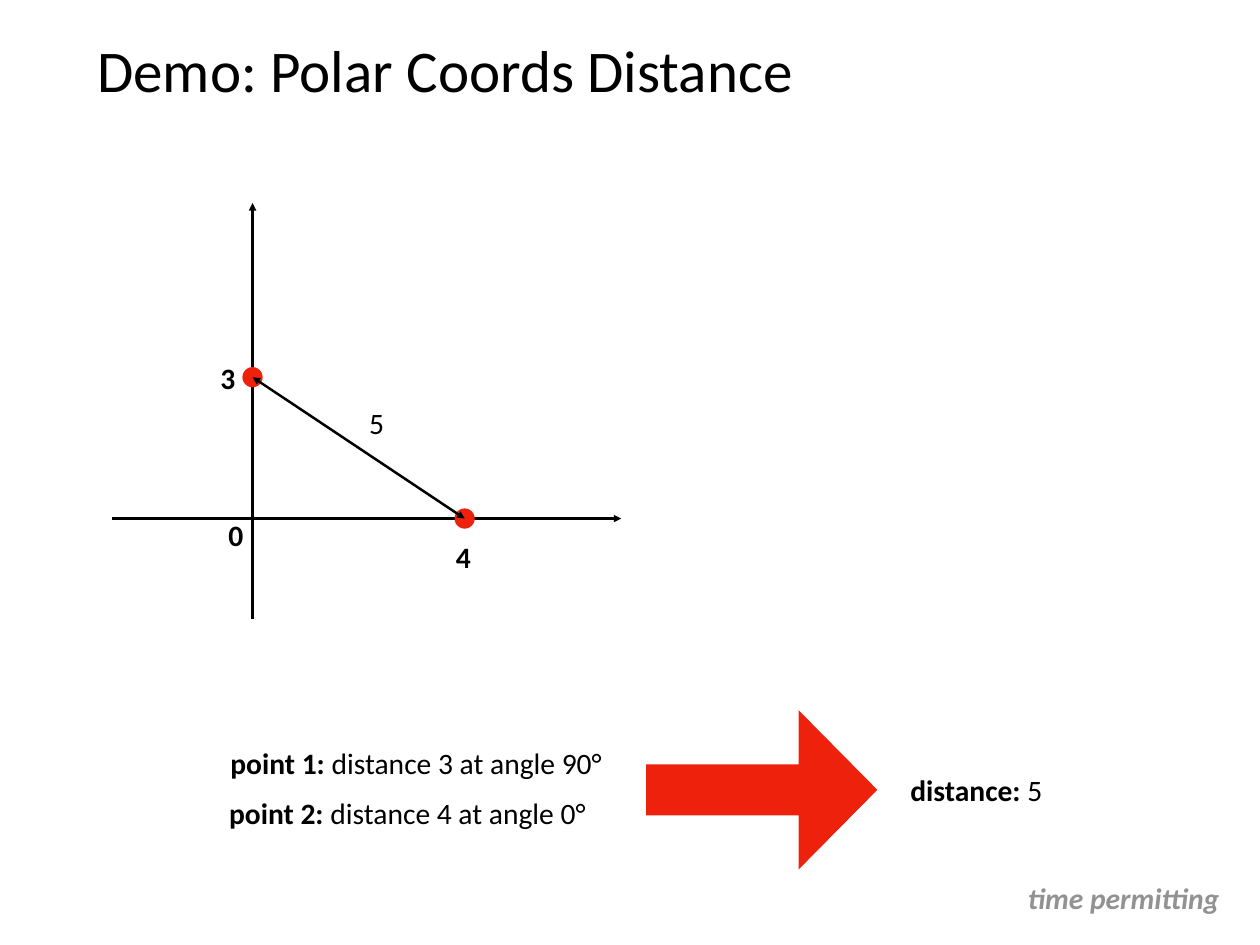
"""Build the slide on the distance between two points in polar coordinates."""
from lxml.etree import SubElement
from pptx import Presentation
from pptx.dml.color import RGBColor
from pptx.enum.shapes import MSO_CONNECTOR, MSO_SHAPE
from pptx.enum.text import MSO_ANCHOR, MSO_AUTO_SIZE, PP_ALIGN
from pptx.oxml.ns import qn
from pptx.util import Cm, Pt

COLORS = {"ink": "000000", "red": "EE220C", "gray": "929292"}
FONT = "Calibri"
INSET = Cm(0.15)
ORIGIN_X, ORIGIN_Y = 7.24, 14.86
UNIT_X, UNIT_Y = 1.52, 1.35
DOT = 0.58
LABEL_HEIGHT = 1.3

presentation = Presentation()
presentation.slide_width = Cm(36.12)
presentation.slide_height = Cm(27.08)
slide = presentation.slides.add_slide(presentation.slide_layouts[5])
shapes = slide.shapes


def style_text(shape, size, color, align):
    frame = shape.text_frame
    frame.margin_left = frame.margin_right = INSET
    frame.margin_top = frame.margin_bottom = INSET
    frame.vertical_anchor = MSO_ANCHOR.MIDDLE
    paragraph = frame.paragraphs[0]
    paragraph.alignment = align
    paragraph.font.name = FONT
    paragraph.font.size = Pt(size)
    paragraph.font.color.rgb = RGBColor.from_string(COLORS[color])
    return paragraph


def add_arrow(start, end, heads):
    line = shapes.add_connector(MSO_CONNECTOR.STRAIGHT, *map(Cm, start + end))
    line.line.width = Pt(2)
    line.line.color.rgb = RGBColor.from_string(COLORS["ink"])
    for head in heads:
        SubElement(line.line._get_or_add_ln(), qn(f"a:{head}"), type="triangle")
    SubElement(line._element.spPr, qn("a:effectLst"))


title = shapes.title
title.left, title.top, title.width, title.height = Cm(2.64), Cm(0.71), Cm(30.84), Cm(2.51)
title.text_frame.text = "Demo: Polar Coords Distance"
title.text_frame.auto_size = MSO_AUTO_SIZE.NONE
style_text(title, 48, "ink", PP_ALIGN.LEFT)

add_arrow((ORIGIN_X, 17.73), (ORIGIN_X, 5.82), ["tailEnd"])
add_arrow((3.2, ORIGIN_Y), (17.81, ORIGIN_Y), ["tailEnd"])

point_1 = (ORIGIN_X, ORIGIN_Y - 3 * UNIT_Y)
point_2 = (ORIGIN_X + 4 * UNIT_X, ORIGIN_Y)
dots = [
    (MSO_SHAPE.OVAL, x - DOT / 2, y - DOT / 2, DOT, DOT)
    for x, y in (point_1, point_2)
]
result_arrow = (MSO_SHAPE.RIGHT_ARROW, 18.52, 20.35, 6.63, 4.57)
for kind, *box in [*dots, result_arrow]:
    shape = shapes.add_shape(kind, *map(Cm, box))
    shape.shadow.inherit = False
    shape.fill.solid()
    shape.fill.fore_color.rgb = RGBColor.from_string(COLORS["red"])
    shape.line.fill.background()
    if kind == MSO_SHAPE.RIGHT_ARROW:
        shape.adjustments[0] = 0.32
        shape.adjustments[1] = 0.494

add_arrow(point_1, point_2, ["headEnd", "tailEnd"])

labels = [
    (6.53, 10.81, 0.76, "3", "", "ink"),
    (13.28, 15.94, 0.76, "4", "", "ink"),
    (10.8, 12.1, 0.76, "", "5", "ink"),
    (6.76, 15.33, 0.76, "0", "", "ink"),
    (27.99, 22.62, 4.83, "distance: ", "5", "ink"),
    (11.93, 21.86, 12.73, "point 1: ", "distance 3 at angle 90°", "ink"),
    (11.68, 23.28, 12.24, "point 2: ", "distance 4 at angle 0°", "ink"),
    (32.21, 25.72, 6.65, "time permitting", "", "gray"),
]
for center_x, center_y, width, bold_text, plain_text, color in labels:
    label = shapes.add_textbox(
        Cm(center_x - width / 2), Cm(center_y - LABEL_HEIGHT / 2), Cm(width), Cm(LABEL_HEIGHT)
    )
    label.text_frame.word_wrap = False
    label.text_frame.auto_size = MSO_AUTO_SIZE.SHAPE_TO_FIT_TEXT
    paragraph = style_text(label, 24, color, PP_ALIGN.CENTER)
    paragraph.font.italic = color == "gray"
    for text, bold in ((bold_text, True), (plain_text, False)):
        if text:
            run = paragraph.add_run()
            run.text = text
            run.font.bold = bold

presentation.save("out.pptx")
